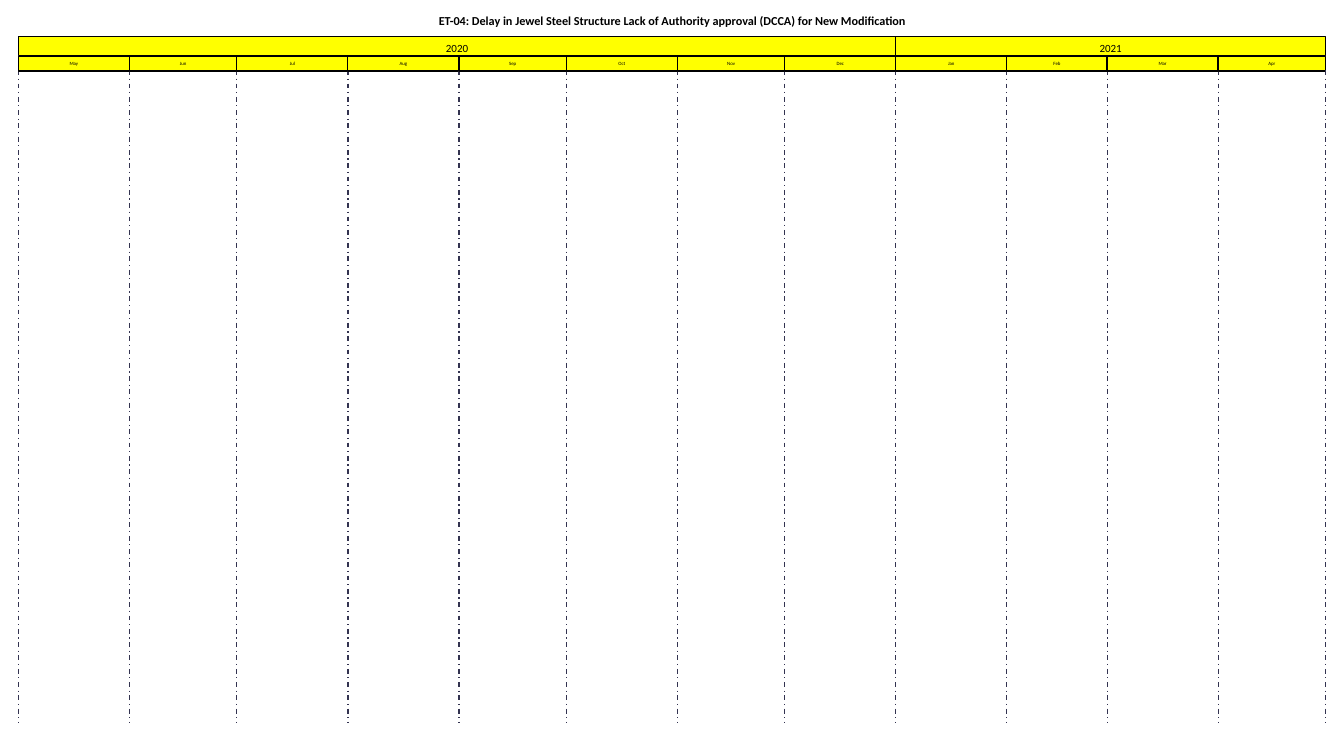
from dataclasses import dataclass

from pptx import Presentation
from pptx.dml.color import RGBColor
from pptx.enum.dml import MSO_LINE
from pptx.enum.shapes import MSO_CONNECTOR, MSO_SHAPE
from pptx.enum.text import MSO_ANCHOR, MSO_AUTO_SIZE, PP_ALIGN
from pptx.oxml.ns import qn
from pptx.util import Inches, Pt
from lxml.etree import SubElement


@dataclass(frozen=True)
class Theme:
    font: str = "Calibri"
    text: RGBColor = RGBColor(0x00, 0x00, 0x00)
    band: RGBColor = RGBColor(0xFF, 0xFF, 0x00)
    border: RGBColor = RGBColor(0x00, 0x00, 0x00)
    grid: RGBColor = RGBColor(0x33, 0x33, 0x50)
    title_size: Pt = Pt(10)
    year_size: Pt = Pt(9)
    month_size: Pt = Pt(4)
    line_width: Pt = Pt(1)


THEME = Theme()

TITLE = ("ET-04: Delay in Jewel Steel Structure Lack of Authority approval "
         "(DCCA) for New Modification")
# Days in each month set the width of its column.
CALENDAR = {
    "2020": {"May": 31, "Jun": 30, "Jul": 31, "Aug": 31,
             "Sep": 30, "Oct": 31, "Nov": 30, "Dec": 31},
    "2021": {"Jan": 31, "Feb": 28, "Mar": 31, "Apr": 30},
}
TOTAL_DAYS = sum(sum(months.values()) for months in CALENDAR.values())

LEFT, WIDTH = 0.21, 14.89
YEAR_TOP, YEAR_HEIGHT = 0.42, 0.21
MONTH_TOP, MONTH_HEIGHT = 0.64, 0.17
GRID_TOP, GRID_BOTTOM = 0.8, 8.23


def day_x(day):
    """Horizontal place, in inches, of a day counted from the first one."""
    return LEFT + WIDTH * day / TOTAL_DAYS


def write_text(shape, text, size, bold=False):
    frame = shape.text_frame
    frame.text = text
    frame.word_wrap = True
    frame.auto_size = MSO_AUTO_SIZE.SHAPE_TO_FIT_TEXT
    frame.vertical_anchor = MSO_ANCHOR.TOP
    frame.margin_top = frame.margin_bottom = Inches(0.05)
    paragraph = frame.paragraphs[0]
    paragraph.alignment = PP_ALIGN.CENTER
    paragraph.line_spacing = 1.0
    paragraph.space_before = Pt(0)
    font = paragraph.font
    font.name = THEME.font
    font.size = size
    font.bold = bold
    font.color.rgb = THEME.text


def add_title(slide):
    title = slide.shapes.title
    title.left, title.top = Inches(LEFT), Inches(0.1)
    title.width, title.height = Inches(WIDTH), Inches(0.31)
    write_text(title, TITLE, THEME.title_size, bold=True)


def add_period(slide, label, first_day, days, top, height, size):
    """Draw the yellow header box of a year or month."""
    left = day_x(first_day)
    period = slide.shapes.add_shape(
        MSO_SHAPE.RECTANGLE, Inches(left), Inches(top),
        Inches(day_x(first_day + days) - left), Inches(height))
    period.shadow.inherit = False
    period.fill.solid()
    period.fill.fore_color.rgb = THEME.band
    period.line.color.rgb = THEME.border
    period.line.width = THEME.line_width
    write_text(period, label, size)
    return period


def add_month(slide, label, first_day, days):
    month = add_period(slide, label, first_day, days,
                       MONTH_TOP, MONTH_HEIGHT, THEME.month_size)
    month.text_frame.margin_left = month.text_frame.margin_right = 0


def add_grid_line(slide, day):
    x = Inches(day_x(day))
    grid_line = slide.shapes.add_connector(
        MSO_CONNECTOR.STRAIGHT, x, Inches(GRID_TOP), x, Inches(GRID_BOTTOM))
    grid_line.line.color.rgb = THEME.grid
    grid_line.line.width = THEME.line_width
    grid_line.line.dash_style = MSO_LINE.DASH_DOT
    SubElement(grid_line._element.spPr, qn("a:effectLst"))


def add_calendar(slide):
    year_start = 0
    for year, months in CALENDAR.items():
        year_days = sum(months.values())
        add_period(slide, year, year_start, year_days,
                   YEAR_TOP, YEAR_HEIGHT, THEME.year_size)
        year_start += year_days

    day = 0
    for months in CALENDAR.values():
        for month, days in months.items():
            add_grid_line(slide, day)
            add_month(slide, month, day, days)
            day += days
    add_grid_line(slide, day)


def main():
    presentation = Presentation()
    presentation.slide_width = Inches(15.31)
    presentation.slide_height = Inches(8.33)
    title_only = presentation.slide_layouts[5]
    slide = presentation.slides.add_slide(title_only)
    add_title(slide)
    add_calendar(slide)
    presentation.save("out.pptx")


if __name__ == "__main__":
    main()
